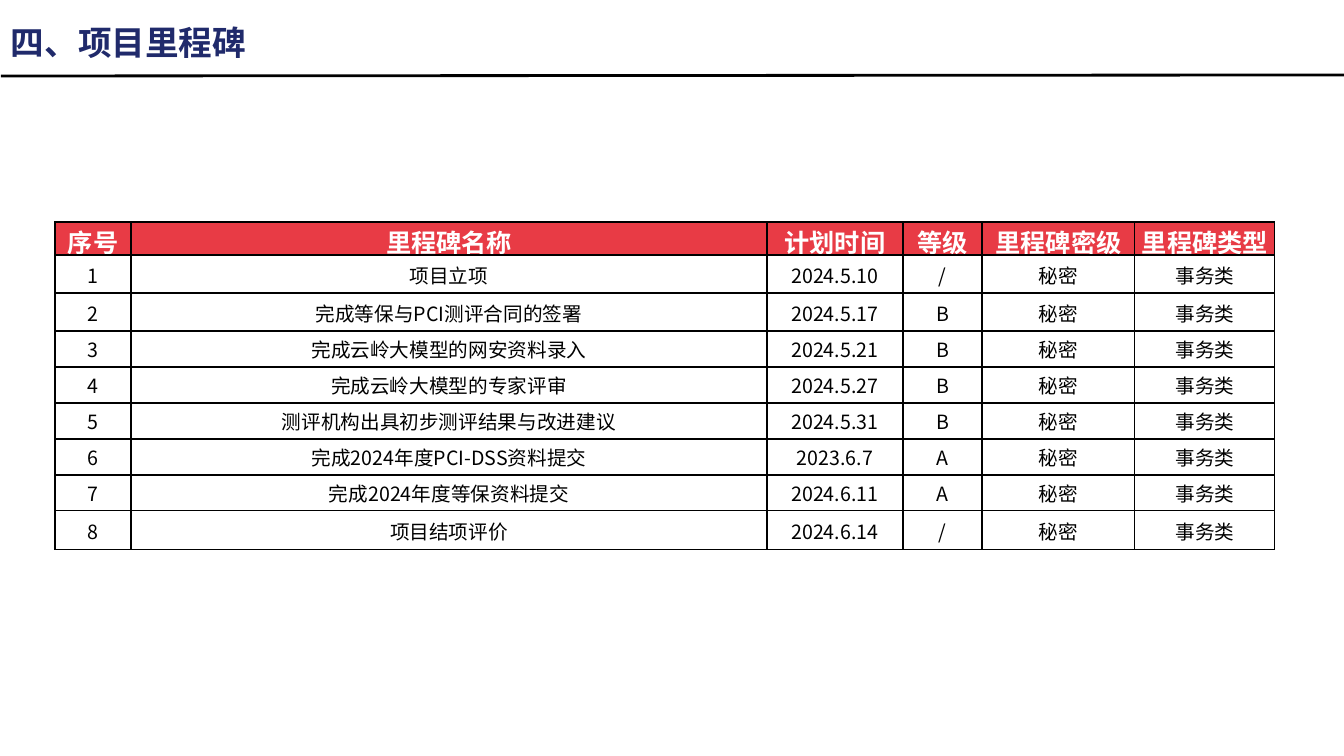
from lxml.etree import SubElement
from pptx import Presentation
from pptx.dml.color import RGBColor
from pptx.enum.shapes import MSO_CONNECTOR
from pptx.enum.text import MSO_ANCHOR, PP_ALIGN
from pptx.oxml.ns import qn
from pptx.util import Pt

# Content
TITLE = "四、项目里程碑"
HEADERS = ("序号", "里程碑名称", "计划时间", "等级", "里程碑密级", "里程碑类型")
MILESTONES = [
    ("项目立项", "2024.5.10", "/"),
    ("完成等保与PCI测评合同的签署", "2024.5.17", "B"),
    ("完成云岭大模型的网安资料录入", "2024.5.21", "B"),
    ("完成云岭大模型的专家评审", "2024.5.27", "B"),
    ("测评机构出具初步测评结果与改进建议", "2024.5.31", "B"),
    ("完成2024年度PCI-DSS资料提交", "2023.6.7", "A"),
    ("完成2024年度等保资料提交", "2024.6.11", "A"),
    ("项目结项评价", "2024.6.14", "/"),
]
SECRECY, CATEGORY = "秘密", "事务类"

# Layout in px and style
COLUMN_WIDTHS = (76, 636, 136, 79, 153, 140)
ROW_HEIGHTS = (33, 38, 38, 36, 36, 36, 36, 36, 39)
TABLE_LEFT, TABLE_TOP = 55, 222
FONT = "Noto Sans CJK SC"
NAVY, RED, BLACK, WHITE = "202A6B", "E83B45", "000000", "FFFFFF"


def px(length):
    return round(length * 914400 / 100.8)


def color(value):
    return RGBColor.from_string(value)


def style_text(para, size, value, bold):
    for span in para.runs:
        span.font.size = Pt(size)
        span.font.bold = bold
        span.font.color.rgb = color(value)
        span.font.name = FONT
        SubElement(span.font._element, qn("a:ea"), typeface=FONT)


def add_borders(cell):
    properties = cell._tc.get_or_add_tcPr()
    for index, side in enumerate(("lnL", "lnR", "lnT", "lnB")):
        line = SubElement(properties, qn(f"a:{side}"), w=str(Pt(1)))
        fill = SubElement(line, qn("a:solidFill"))
        SubElement(fill, qn("a:srgbClr"), val=BLACK)
        properties.insert(index, line)


def add_title(page):
    box = page.shapes.add_textbox(px(1), px(22), px(742), px(46))
    frame = box.text_frame
    frame.word_wrap = True
    frame.vertical_anchor = MSO_ANCHOR.MIDDLE
    frame.text = TITLE
    para = frame.paragraphs[0]
    para.line_spacing = 0.9
    style_text(para, 24, NAVY, True)

    rule = page.shapes.add_connector(
        MSO_CONNECTOR.STRAIGHT, px(1), px(76), px(1345), px(75))
    rule.line.color.rgb = color(BLACK)
    rule.line.width = Pt(2)
    SubElement(rule._element.spPr, qn("a:effectLst"))


def add_milestones(page):
    rows = [HEADERS] + [
        (str(number), *milestone, SECRECY, CATEGORY)
        for number, milestone in enumerate(MILESTONES, 1)
    ]
    table = page.shapes.add_table(
        len(rows), len(HEADERS), px(TABLE_LEFT), px(TABLE_TOP),
        px(sum(COLUMN_WIDTHS)), px(sum(ROW_HEIGHTS))).table
    table.horz_banding = False
    for column, width in zip(table.columns, COLUMN_WIDTHS):
        column.width = px(width)
    for row, height, texts in zip(table.rows, ROW_HEIGHTS, rows):
        row.height = px(height)
        header = texts is HEADERS
        for cell, text in zip(row.cells, texts):
            cell.text = text
            cell.vertical_anchor = MSO_ANCHOR.MIDDLE
            cell.margin_left = cell.margin_right = cell.margin_top = px(1)
            cell.margin_bottom = 0
            if header:
                cell.fill.solid()
                cell.fill.fore_color.rgb = color(RED)
            else:
                cell.fill.background()
            add_borders(cell)
            para = cell.text_frame.paragraphs[0]
            para.alignment = PP_ALIGN.CENTER
            style_text(para, 18 if header else 14,
                       WHITE if header else BLACK, header)


def main():
    deck = Presentation()
    deck.slide_width, deck.slide_height = px(1344), px(756)
    page = deck.slides.add_slide(deck.slide_layouts[6])
    add_title(page)
    add_milestones(page)
    deck.save("out.pptx")


if __name__ == "__main__":
    main()
